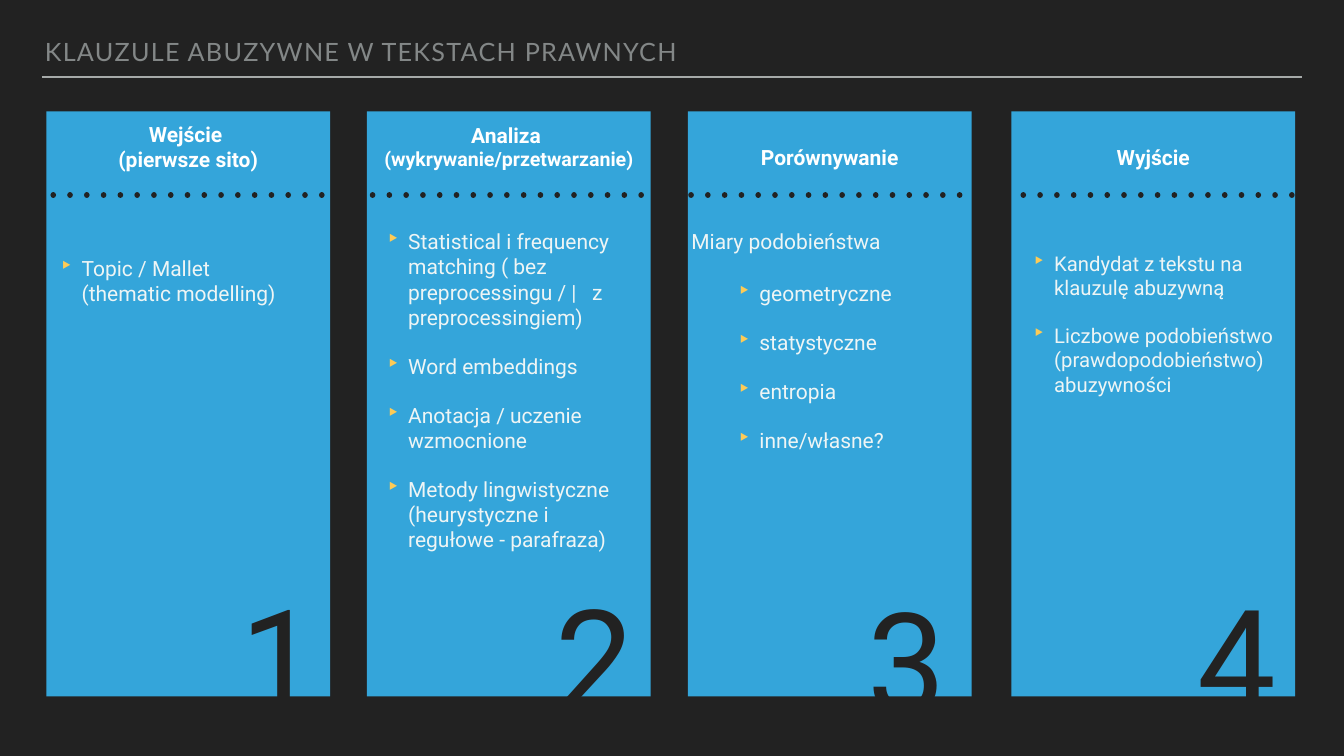
from dataclasses import dataclass

from lxml.etree import SubElement
from pptx import Presentation
from pptx.dml.color import RGBColor
from pptx.enum.shapes import MSO_CONNECTOR as Connector, MSO_SHAPE as Shape
from pptx.enum.text import MSO_ANCHOR as Anchor, MSO_AUTO_SIZE as AutoSize, PP_ALIGN as Align
from pptx.oxml.ns import qn
from pptx.util import Inches, Pt


@dataclass(frozen=True)
class Theme:
    background: str = "222222"
    card: str = "34A5DA"
    rule: str = "A6AAA9"
    title: str = "838787"
    heading: str = "FFFFFF"
    body: str = "EEF5F5"
    bullet: str = "FDCB56"
    title_font: str = "Lato"
    font: str = "Roboto"
    title_size: int = 36
    text_size: int = 30
    small_size: int = 29
    subheading_size: int = 28
    number_size: int = 200
    space_before: int = 34
    inset: float = 0.06


class SlideBuilder:
    def __init__(self, slide, theme):
        self.slide = slide
        self.theme = theme
        fill = slide.background.fill
        fill.solid()
        fill.fore_color.rgb = RGBColor.from_string(theme.background)

    def format_frame(self, frame, anchor):
        frame.word_wrap = True
        frame.vertical_anchor = anchor
        frame.auto_size = AutoSize.SHAPE_TO_FIT_TEXT
        frame.margin_left = frame.margin_right = Inches(self.theme.inset)
        frame.margin_top = frame.margin_bottom = Inches(self.theme.inset)

    def format_run(self, run, size, color, bold=False, font=None):
        run.font.name = font or self.theme.font
        run.font.size = Pt(size)
        run.font.bold = bold
        run.font.color.rgb = RGBColor.from_string(color)

    def title(self, text, left, top, width, height):
        shape = self.slide.shapes.title
        shape.left, shape.top = Inches(left), Inches(top)
        shape.width, shape.height = Inches(width), Inches(height)
        shape.text_frame.text = text
        self.format_frame(shape.text_frame, Anchor.BOTTOM)
        paragraph = shape.text_frame.paragraphs[0]
        paragraph.alignment = Align.LEFT
        paragraph.line_spacing = 0.8
        run = paragraph.runs[0]
        self.format_run(run, self.theme.title_size, self.theme.title, font=self.theme.title_font)
        run._r.get_or_add_rPr().set("spc", "180")

    def card(self, left, top, width, height):
        shape = self.slide.shapes.add_shape(
            Shape.RECTANGLE, Inches(left), Inches(top), Inches(width), Inches(height))
        shape.shadow.inherit = False
        shape.fill.solid()
        shape.fill.fore_color.rgb = RGBColor.from_string(self.theme.card)
        shape.line.fill.background()

    def rule(self, left, top, width, color, weight, dotted=False):
        line = self.slide.shapes.add_connector(
            Connector.STRAIGHT, Inches(left), Inches(top), Inches(left + width), Inches(top))
        line.line.color.rgb = RGBColor.from_string(color)
        line.line.width = Pt(weight)
        properties = line._element.spPr
        if dotted:
            outline = properties.find(qn("a:ln"))
            outline.set("cap", "rnd")
            dashes = SubElement(outline, qn("a:custDash"))
            SubElement(dashes, qn("a:ds"), d="100000", sp="200000")
        SubElement(properties, qn("a:effectLst"))

    def text(self, lines, left, top, width, height, size=None, color=None,
             bold=False, align=Align.LEFT, bullets=False):
        box = self.slide.shapes.add_textbox(
            Inches(left), Inches(top), Inches(width), Inches(height))
        frame = box.text_frame
        frame.text = "\n".join(lines)
        self.format_frame(frame, Anchor.MIDDLE)
        for paragraph in frame.paragraphs:
            paragraph.alignment = align
            paragraph.space_before = Pt(self.theme.space_before)
            if bullets:
                self.bullet(paragraph)
            for run in paragraph.runs:
                self.format_run(run, size or self.theme.text_size, color or self.theme.body, bold)
        return frame

    def bullet(self, paragraph):
        properties = paragraph._p.get_or_add_pPr()
        indent = Inches(0.43)
        properties.set("marL", str(indent))
        properties.set("indent", str(-indent))
        color = SubElement(properties, qn("a:buClr"))
        SubElement(color, qn("a:srgbClr"), val=self.theme.bullet)
        SubElement(properties, qn("a:buSzPct"), val="105000")
        SubElement(properties, qn("a:buChar"), char="‣")

    def heading(self, text, center, top, width, height):
        return self.text([text], center - width / 2, top, width, height,
                         color=self.theme.heading, bold=True, align=Align.CENTER)

    def number(self, value, left, top):
        self.text([str(value)], left, top, 1.78, 3.9,
                  size=self.theme.number_size, color=self.theme.background)


def main():
    presentation = Presentation()
    presentation.slide_width, presentation.slide_height = Inches(26.67), Inches(15)
    theme = Theme()
    builder = SlideBuilder(presentation.slides.add_slide(presentation.slide_layouts[5]), theme)

    # Title with its rule
    builder.rule(0.83, 1.53, 25, theme.rule, 2)
    builder.title("KLAUZULE ABUZYWNE W TEKSTACH PRAWNYCH", 0.83, 0.69, 22.92, 0.69)

    # Cards
    card_width = 5.63
    card_lefts = [0.92, 7.28, 13.65, 20.07]
    for left in card_lefts:
        builder.card(left, 2.21, card_width, 11.61)

    # Headings: text, top, width, height
    headings = [
        ("Wejście \v(pierwsze sito)", 2.28, 3.08, 1.25),
        ("Analiza \v(wykrywanie/przetwarzanie)", 2.3, 5.57, 1.21),
        ("Porównywanie", 2.77, 3.14, 0.68),
        ("Wyjście", 2.77, 1.68, 0.68),
    ]
    frames = [builder.heading(text, left + card_width / 2, *place)
              for left, (text, *place) in zip(card_lefts, headings)]
    frames[1].paragraphs[0].runs[1].font.size = Pt(theme.subheading_size)

    # Dotted dividers
    for left in (0.39, 7.06, 13.38, 19.64):
        builder.rule(left, 3.87, 6.23, theme.background, 8, dotted=True)

    # Card contents: lines, place, type size
    builder.text(["Miary podobieństwa"], 13.66, 4.44, 5.11, 0.68)
    contents = [
        (["Topic / Mallet \v(thematic modelling)"], (1.13, 4.42, 4.75, 2.29), theme.text_size),
        (["Statistical i frequency matching ( bez preprocessingu / |   z preprocessingiem)",
          "Word embeddings",
          "Anotacja / uczenie wzmocnione",
          "Metody lingwistyczne (heurystyczne i regułowe - parafraza)"],
         (7.61, 4.45, 4.92, 6.59), theme.text_size),
        (["geometryczne", "statystyczne", "entropia", "inne/własne?"],
         (14.58, 5.37, 4.61, 3.81), theme.text_size),
        (["Kandydat z tekstu na klauzulę abuzywną",
          "Liczbowe podobieństwo (prawdopodobieństwo) abuzywności"],
         (20.43, 4.46, 4.92, 3.92), theme.small_size),
    ]
    for lines, place, size in contents:
        builder.text(lines, *place, size=size, bullets=True)

    # Step numbers
    number_places = [(4.72, 11.04), (10.97, 11.04), (17.16, 11.1), (23.71, 11.04)]
    for value, place in enumerate(number_places, start=1):
        builder.number(value, *place)

    presentation.save("out.pptx")


if __name__ == "__main__":
    main()
